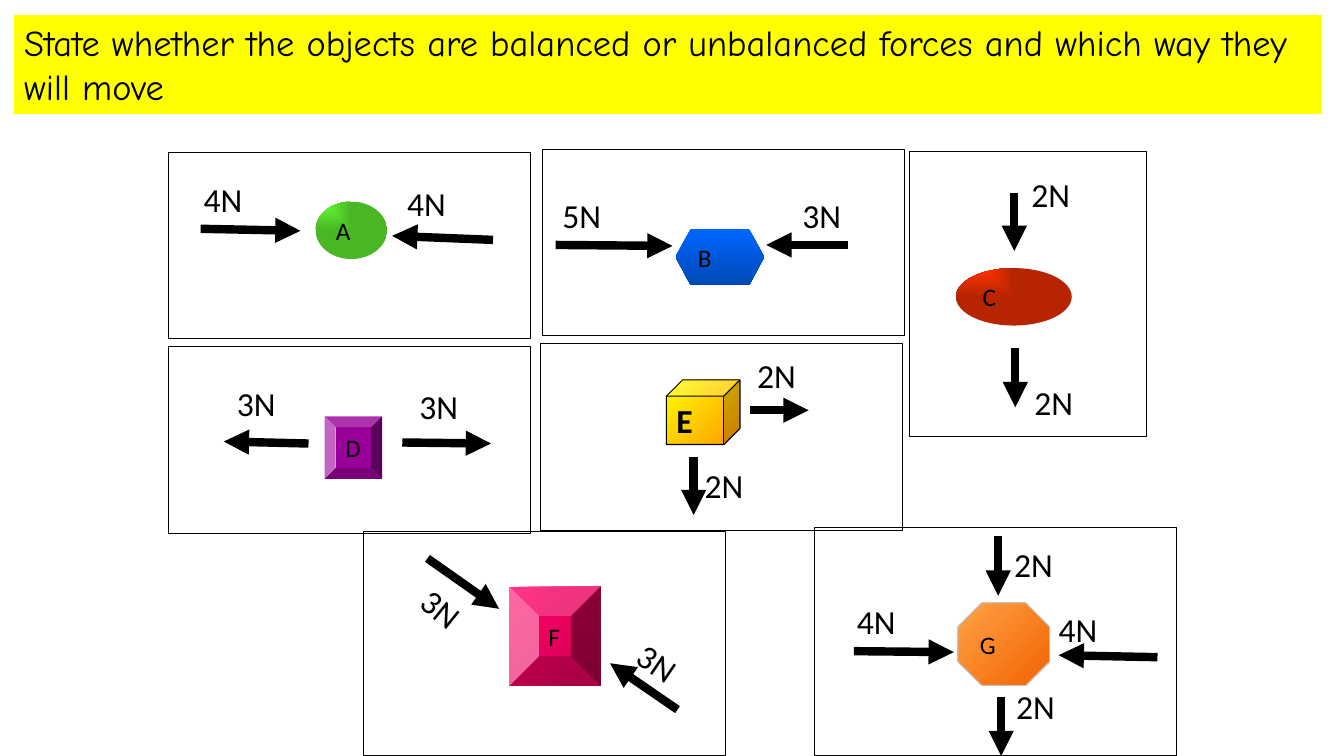
from lxml import etree
from pptx import Presentation
from pptx.dml.color import RGBColor
from pptx.enum.shapes import MSO_CONNECTOR, MSO_SHAPE
from pptx.enum.text import MSO_ANCHOR, PP_ALIGN
from pptx.oxml.ns import qn
from pptx.util import Inches, Pt

RECTANGLE, ELLIPSE = MSO_SHAPE.RECTANGLE, MSO_SHAPE.OVAL
HEXAGON, OCTAGON = MSO_SHAPE.HEXAGON, MSO_SHAPE.OCTAGON
BEVEL, CUBE = MSO_SHAPE.BEVEL, MSO_SHAPE.CUBE
STRAIGHT = MSO_CONNECTOR.STRAIGHT
TOP, MIDDLE, LEFT = MSO_ANCHOR.TOP, MSO_ANCHOR.MIDDLE, PP_ALIGN.LEFT

BLACK = RGBColor(0x00, 0x00, 0x00)
SILVER = RGBColor(0xC0, 0xC0, 0xC0)
YELLOW = RGBColor(0xFF, 0xFF, 0x00)
AMBER = RGBColor(0xFF, 0x99, 0x00)
LIME = RGBColor(0x66, 0xFF, 0x33)
GREEN = RGBColor(0x49, 0xB6, 0x24)
BLUE = RGBColor(0x00, 0x66, 0xFF)
NAVY = RGBColor(0x00, 0x49, 0xB6)
RED = RGBColor(0xFF, 0x33, 0x00)
BROWN = RGBColor(0xB6, 0x24, 0x00)
PURPLE = RGBColor(0x99, 0x00, 0x99)
PINK = RGBColor(0xFF, 0x00, 0x66)
CRIMSON = RGBColor(0xD0, 0x00, 0x54)
PEACH = RGBColor(0xFF, 0xA3, 0x47)
ORANGE = RGBColor(0xF2, 0x62, 0x00)

SLIDE_WIDTH, SLIDE_HEIGHT = 13.33, 7.5
PANEL_WIDTH, PANEL_HEIGHT = 3.59, 1.85
LABEL_WIDTH, LABEL_HEIGHT = 0.82, 0.5
CORNER = "corner"

TITLE = ("State whether the objects are balanced or unbalanced forces "
         "and which way they will move")
TITLE_FONT = {"name": "Comic Neue", "size": Pt(26)}
LABEL_FONT = {"name": "Calibri", "size": Pt(24)}
LETTER_FONT = {"name": "Calibri", "size": Pt(18)}
CUBE_FONT = {"name": "Calibri", "size": Pt(24), "bold": True}

PANELS = [
    {"box": (1.67, 1.51, PANEL_WIDTH, PANEL_HEIGHT),
     "body": {"letter": "A", "kind": ELLIPSE, "place": (1.46, 0.49, 0.71, 0.57),
              "colors": (LIME, GREEN), "angle": CORNER},
     "arrows": [(0.32, 0.76, 1.31, 0.78), (3.22, 0.87, 2.22, 0.83)],
     "labels": [("4N", 0.25, 0.22, 0), ("4N", 2.27, 0.26, 0)]},
    {"box": (5.38, 1.48, PANEL_WIDTH, PANEL_HEIGHT),
     "body": {"letter": "B", "kind": HEXAGON, "place": (1.32, 0.79, 0.88, 0.56),
              "colors": (BLUE, NAVY), "angle": 90, "adjust": 0.27},
     "arrows": [(0.13, 0.95, 1.29, 0.96), (3.03, 0.95, 2.22, 0.95)],
     "labels": [("5N", 0.1, 0.4, 0), ("3N", 2.48, 0.4, 0)]},
    {"box": (9.02, 1.5, 2.35, 2.83),
     "body": {"letter": "C", "kind": ELLIPSE, "place": (0.46, 1.16, 1.15, 0.57),
              "colors": (RED, BROWN), "angle": CORNER},
     "arrows": [(1.04, 0.41, 1.04, 0.99), (1.05, 1.95, 1.05, 2.54)],
     "labels": [("2N", 1.11, 0.18, 0), ("2N", 1.14, 2.24, 0)]},
    {"box": (1.67, 3.44, PANEL_WIDTH, PANEL_HEIGHT),
     "body": {"letter": "D", "kind": BEVEL, "place": (1.55, 0.69, 0.57, 0.62),
              "colors": (PURPLE,), "adjust": 0.19, "wrap": False},
     "arrows": [(1.39, 0.96, 0.55, 0.94), (2.32, 0.95, 3.2, 0.96)],
     "labels": [("3N", 0.58, 0.31, 0), ("3N", 2.39, 0.34, 0)]},
    {"box": (5.36, 3.41, PANEL_WIDTH, PANEL_HEIGHT),
     "body": {"letter": "E", "kind": CUBE, "place": (1.25, 0.36, 0.73, 0.64),
              "colors": (YELLOW, AMBER), "angle": 45, "adjust": 0.25,
              "outline": BLACK, "wrap": False, "font": CUBE_FONT},
     "arrows": [(1.52, 1.12, 1.52, 1.7), (2.08, 0.66, 2.66, 0.66)],
     "labels": [("2N", 1.53, 1.15, 0), ("2N", 2.05, 0.06, 0)]},
    {"box": (3.61, 5.27, PANEL_WIDTH, 2.23),
     "body": {"letter": "F", "kind": BEVEL, "place": (1.44, 0.55, 0.91, 0.98),
              "colors": (PINK, CRIMSON), "angle": 45, "adjust": 0.32},
     "arrows": [(0.63, 0.27, 1.34, 0.77), (3.11, 1.77, 2.44, 1.31)],
     "labels": [("3N", 0.45, 0.59, 38.8), ("3N", 2.6, 1.12, 34.1)]},
    {"box": (8.08, 5.23, PANEL_WIDTH, 2.27),
     "body": {"letter": "G", "kind": OCTAGON, "place": (1.42, 0.75, 0.91, 0.82),
              "colors": (PEACH, ORANGE), "angle": 45, "adjust": 0.29,
              "outline": SILVER, "wrap": False},
     "arrows": [(1.82, 0.09, 1.82, 0.68), (1.85, 1.68, 1.85, 2.27),
                (0.39, 1.23, 1.38, 1.24), (3.4, 1.29, 2.42, 1.27)],
     "labels": [("2N", 1.88, 0.12, 0), ("2N", 1.9, 1.53, 0),
                ("4N", 0.32, 0.68, 0), ("4N", 2.32, 0.76, 0)]},
]


def write_text(shape, text, font, anchor=TOP, wrap=True):
    frame = shape.text_frame
    frame.word_wrap = wrap
    frame.vertical_anchor = anchor
    para = frame.paragraphs[0]
    para.alignment = LEFT
    span = para.add_run()
    span.text = text
    for name, value in font.items():
        setattr(span.font, name, value)
    span.font.color.rgb = BLACK


def paint(shape, colors, angle):
    if not colors:
        shape.fill.background()
    elif len(colors) == 1:
        shape.fill.solid()
        shape.fill.fore_color.rgb = colors[0]
    else:
        shape.fill.gradient()
        for stop, color in zip(shape.fill.gradient_stops, colors):
            stop.color.rgb = color
        if angle == CORNER:
            gradient = shape._element.spPr.find(qn("a:gradFill"))
            gradient.remove(gradient.find(qn("a:lin")))
            spread = etree.SubElement(gradient, qn("a:path"), path="rect")
            etree.SubElement(spread, qn("a:fillToRect"), r="100000", b="100000")
        else:
            shape.fill.gradient_angle = 360 - angle


def add_figure(page, kind, box, colors=(), angle=0, outline=None):
    shape = page.shapes.add_shape(kind, *map(Inches, box))
    shape.shadow.inherit = False
    paint(shape, colors, angle)
    if outline is None:
        shape.line.fill.background()
    else:
        shape.line.color.rgb = outline
        shape.line.width = Pt(0.75)
    return shape


def add_arrow(page, ends):
    arrow = page.shapes.add_connector(STRAIGHT, *map(Inches, ends))
    arrow.line.color.rgb = BLACK
    arrow.line.width = Pt(6)
    etree.SubElement(arrow.line._get_or_add_ln(), qn("a:tailEnd"), type="triangle")
    etree.SubElement(arrow._element.spPr, qn("a:effectLst"))


def add_body(page, left, top, body):
    x, y, width, height = body["place"]
    shape = add_figure(page, body["kind"], (left + x, top + y, width, height),
                       body["colors"], body.get("angle", 0), body.get("outline"))
    if "adjust" in body:
        shape.adjustments[0] = body["adjust"]
    write_text(shape, body["letter"], body.get("font", LETTER_FONT),
               MIDDLE, body.get("wrap", True))


def add_panel(page, box, body, arrows, labels):
    left, top = box[:2]
    add_figure(page, RECTANGLE, box, outline=BLACK)
    add_body(page, left, top, body)
    for x1, y1, x2, y2 in arrows:
        add_arrow(page, (left + x1, top + y1, left + x2, top + y2))
    for text, x, y, turn in labels:
        place = (left + x, top + y, LABEL_WIDTH, LABEL_HEIGHT)
        label = page.shapes.add_textbox(*map(Inches, place))
        label.rotation = turn
        write_text(label, text, LABEL_FONT)


def add_title(page, box):
    banner = add_figure(page, RECTANGLE, box, (YELLOW,))
    write_text(banner, TITLE, TITLE_FONT)


def main():
    deck = Presentation()
    deck.slide_width, deck.slide_height = Inches(SLIDE_WIDTH), Inches(SLIDE_HEIGHT)
    page = deck.slides.add_slide(deck.slide_layouts[6])
    add_title(page, (0.14, 0.15, 12.97, 0.98))
    for panel in PANELS:
        add_panel(page, **panel)
    deck.save("out.pptx")


if __name__ == "__main__":
    main()
